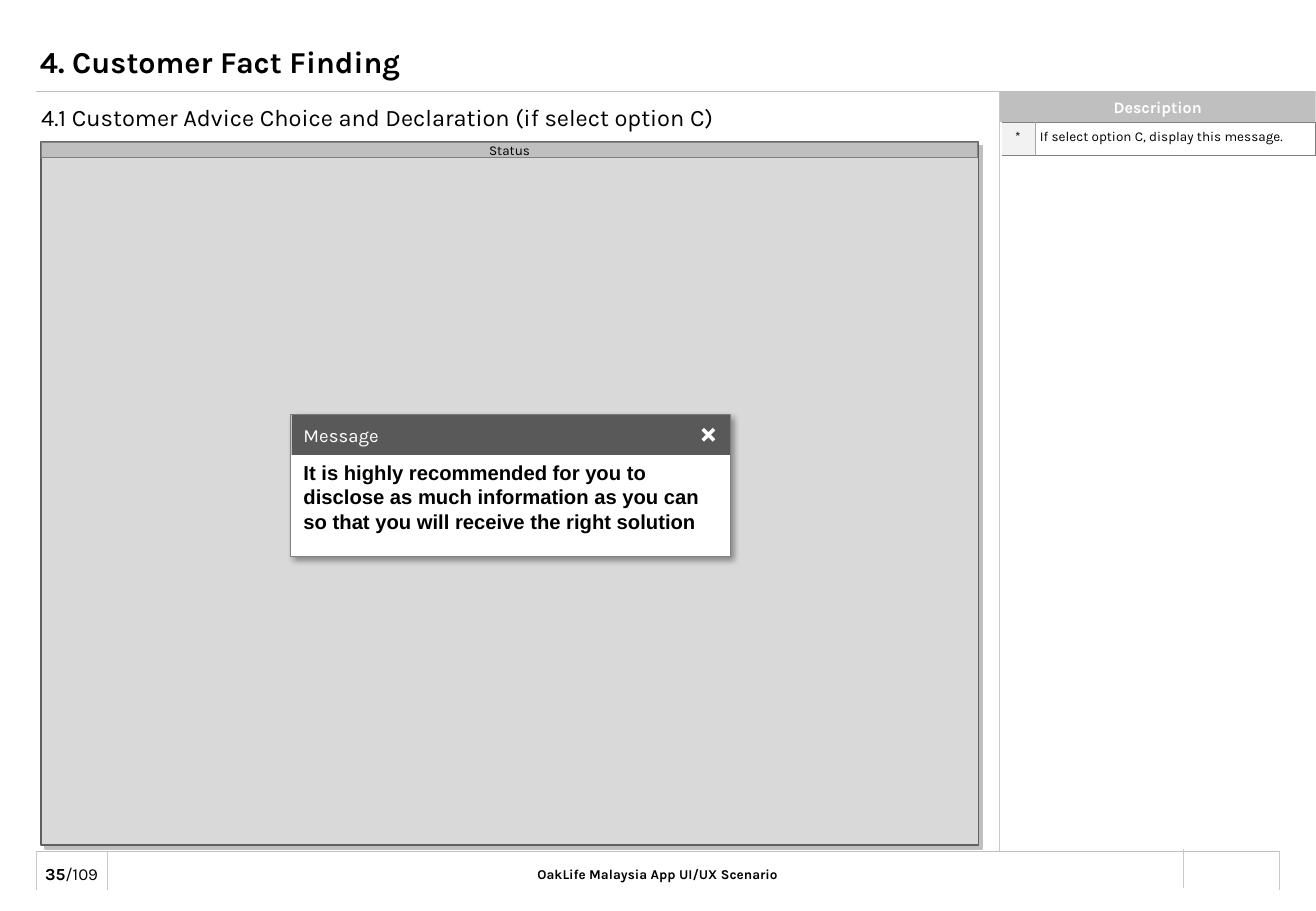
from lxml.etree import SubElement as Sub
from pptx import Presentation
from pptx.dml.color import RGBColor
from pptx.enum.shapes import MSO_CONNECTOR as Link, MSO_SHAPE as Form
from pptx.enum.text import MSO_ANCHOR as Anchor, PP_ALIGN as Align
from pptx.oxml.ns import qn
from pptx.util import Pt

FONT = "Karla"
RULE, EDGE = "BFBFBF", "C8C8C8"
GREY, PALE = "7F7F7F", "A6A6A6"
LEFT, RIGHT, TOP, FOOT = 21.6, 758.2, 54, 504.7
SIDE = 592.6


def color(code):
    return RGBColor.from_string(code)


def write(frame, text, size=8, font=FONT, ink="000000", bold=False,
          align=Align.LEFT, anchor=Anchor.TOP, wrap=True, pad=(7.2, 3.6)):
    """Fill a frame; text is a string or a list of (text, bold) runs."""
    frame.word_wrap = wrap
    frame.vertical_anchor = anchor
    frame.margin_left = frame.margin_right = Pt(pad[0])
    frame.margin_top = frame.margin_bottom = Pt(pad[1])
    para = frame.paragraphs[0]
    para.alignment = align
    runs = [(text, bold)] if isinstance(text, str) else text
    for words, heavy in runs:
        run = para.add_run()
        run.text = words
        run.font.name, run.font.size = font, Pt(size)
        run.font.bold = heavy
        run.font.color.rgb = color(ink)


def label(slide, text, x, y, w, h, **form):
    box = slide.shapes.add_textbox(Pt(x), Pt(y), Pt(w), Pt(h))
    write(box.text_frame, text, **form)


def rule(slide, x1, y1, x2, y2, ink=EDGE):
    line = slide.shapes.add_connector(
        Link.STRAIGHT, Pt(x1), Pt(y1), Pt(x2), Pt(y2))
    line.line.color.rgb = color(ink)
    line.line.width = Pt(0.5)
    Sub(line._element.spPr, qn("a:effectLst"))


def block(slide, x, y, w, h, fill, line=None, width=0.5, kind=Form.RECTANGLE):
    shape = slide.shapes.add_shape(kind, Pt(x), Pt(y), Pt(w), Pt(h))
    shape.shadow.inherit = False
    shape.fill.solid()
    shape.fill.fore_color.rgb = color(fill)
    if line:
        shape.line.color.rgb = color(line)
        shape.line.width = Pt(width)
    else:
        shape.line.fill.background()
    return shape


def shade(shape, ink, alpha, blur, dist=3, angle=45):
    effect = shape._element.spPr.find(qn("a:effectLst"))
    cast = Sub(effect, qn("a:outerShdw"), blurRad=str(Pt(blur)),
               dist=str(Pt(dist)), dir=str(angle * 60000),
               algn="tl", rotWithShape="0")
    tint = Sub(cast, qn("a:srgbClr"), val=ink)
    Sub(tint, qn("a:alpha"), val=str(alpha * 1000))


def border(cell, **sides):
    """Draw cell borders; sides come in the order L, R, T, B."""
    props = cell._tc.get_or_add_tcPr()
    for spot, (side, (ink, width)) in enumerate(sides.items()):
        line = Sub(props, qn("a:ln" + side), w=str(Pt(width)))
        Sub(Sub(line, qn("a:solidFill")), qn("a:srgbClr"), val=ink)
        props.insert(spot, line)


def notes(slide):
    # Description column
    head = block(slide, SIDE, TOP, 187.2, 19.4, RULE)
    write(head.text_frame, "Description", size=9.5, ink="FFFFFF", bold=True,
          align=Align.CENTER, anchor=Anchor.MIDDLE, wrap=False, pad=(0, 0))
    table = slide.shapes.add_table(
        1, 2, Pt(593.3), Pt(72.7), Pt(186.5), Pt(19.4)).table
    table.first_row = table.horz_banding = False
    table.columns[0].width, table.columns[1].width = Pt(20.2), Pt(166.3)
    mark, note = table.cell(0, 0), table.cell(0, 1)
    for cell, fill in ((mark, "F2F2F2"), (note, "FFFFFF")):
        cell.fill.solid()
        cell.fill.fore_color.rgb = color(fill)
    thin, dark = (PALE, 0.25), (GREY, 0.5)
    border(mark, R=thin, T=dark, B=dark)
    border(note, L=thin, R=dark, T=dark, B=dark)
    for cell, text, align, pad in (
            (mark, "*", Align.CENTER, (0, 3.6)),
            (note, "If select option C, display this message.",
             Align.LEFT, (2.9, 2.9))):
        write(cell.text_frame, text, align=align, pad=pad)
        cell.margin_left = cell.margin_right = Pt(pad[0])
        cell.margin_top = cell.margin_bottom = Pt(pad[1])
        cell.vertical_anchor = Anchor.TOP
    note.text_frame.paragraphs[0].line_spacing = 1.1


def screen(slide):
    # App screen with status bar
    panel = block(slide, 24.5, 84.2, 555.5, 416.9, "D9D9D9", "606060", 1)
    shade(panel, RULE, 100, 0)
    bar = block(slide, 24.5, 84.2, 555.1, 9.4, RULE, GREY)
    write(bar.text_frame, "Status", align=Align.CENTER,
          anchor=Anchor.MIDDLE, wrap=False)


def popup(slide):
    # Message window
    card = block(slide, 172.1, 245.5, 260.6, 84.2, "FFFFFF", "808080", 0.25,
                 Form.ROUNDED_RECTANGLE)
    card.adjustments[0] = 0
    shade(card, "000000", 40, 4)
    bar = block(slide, 172.8, 245.9, 259.9, 23.8, "595959")
    write(bar.text_frame, "Message", size=11, ink="FFFFFF",
          anchor=Anchor.MIDDLE)
    close = block(slide, 415.2, 253, 9.4, 9.4, "FFFFFF", kind=Form.CROSS)
    close.adjustments[0] = 0.39
    close.rotation = 45
    label(slide, "It is highly recommended for you to disclose as much "
          "information as you can so that you will receive the right solution",
          172.8, 269.3, 260.6, 51.1, size=12, font="Arial", bold=True)


def frame(slide):
    # Page rules and footer
    for y in (TOP, FOOT):
        rule(slide, LEFT, y, RIGHT, y, RULE)
    for x in (LEFT, 63.4, RIGHT):
        rule(slide, x, FOOT, x, 527.8)
    rule(slide, 701.3, 503.3, 701.3, 526.3)
    rule(slide, SIDE, TOP, SIDE, FOOT)
    label(slide, "OakLife Malaysia App UI/UX Scenario", 250.6, 509.8, 278.6,
          17.3, bold=True, align=Align.CENTER)
    label(slide, [("35", True), ("/109", False)], 18.7, 508.3, 47.5, 18.7,
          size=10, align=Align.CENTER, anchor=Anchor.MIDDLE, wrap=False,
          pad=(6.5, 2.9))


def main():
    deck = Presentation()
    deck.slide_width, deck.slide_height = Pt(780), Pt(540)
    slide = deck.slides.add_slide(deck.slide_layouts[6])
    frame(slide)
    # Headings
    label(slide, "4. Customer Fact Finding", 16.6, 18.7, 702, 35.3,
          size=18, bold=True, anchor=Anchor.MIDDLE)
    label(slide, "4.1 Customer Advice Choice and Declaration "
          "(if select option C)", 17.3, 57.6, 544.3, 22.3, size=14)
    notes(slide)
    screen(slide)
    popup(slide)
    deck.save("out.pptx")


if __name__ == "__main__":
    main()
